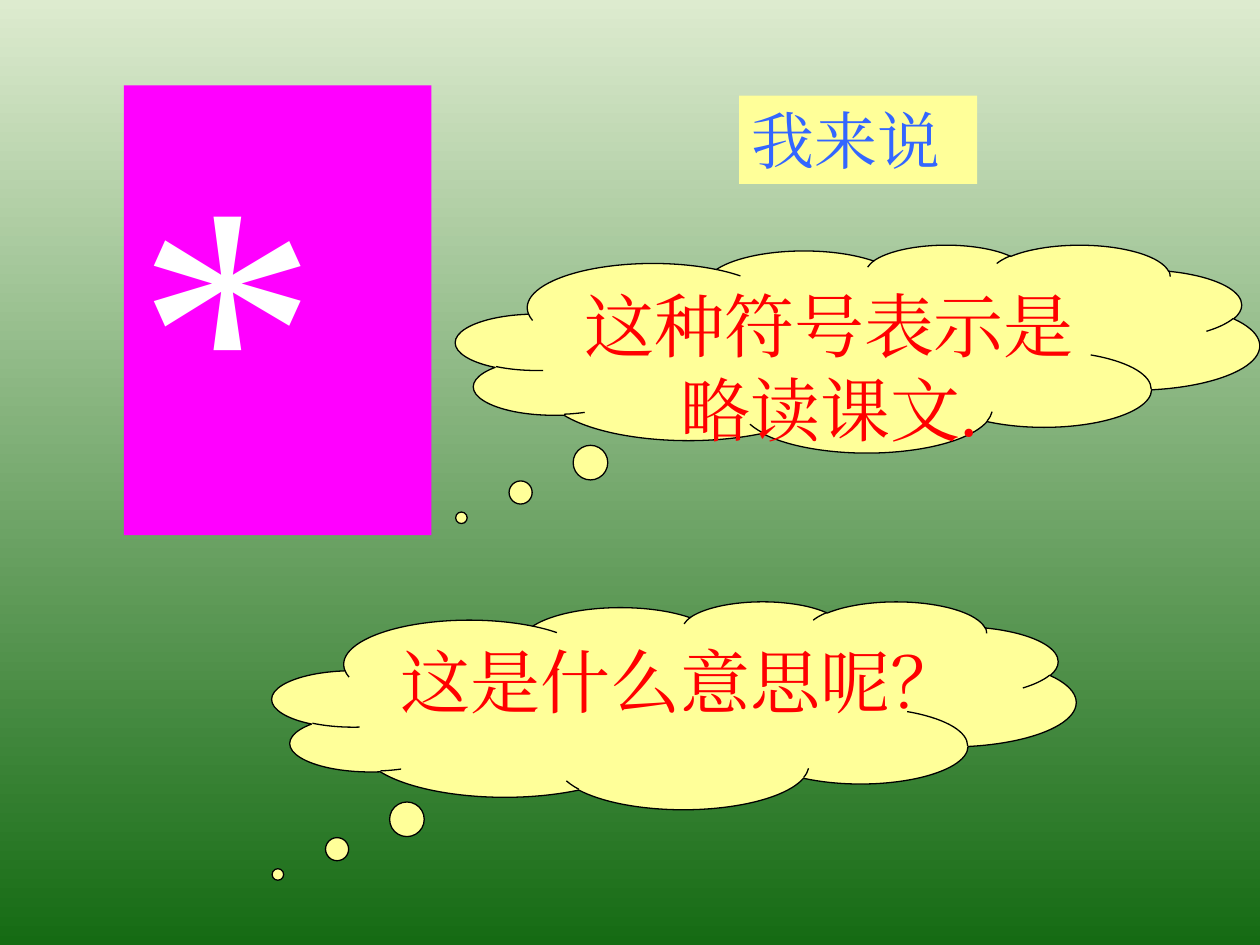
from lxml.etree import SubElement
from pptx import Presentation
from pptx.dml.color import RGBColor
from pptx.enum.shapes import MSO_SHAPE
from pptx.enum.text import MSO_ANCHOR, PP_ALIGN
from pptx.oxml.ns import qn
from pptx.util import Cm, Pt

FONT = "Times New Roman"
YELLOW = "FFFF99"


def color(hex_text):
    return RGBColor.from_string(hex_text)


def add_panel(page, kind, box, fill, text, size, ink, align=PP_ALIGN.LEFT):
    """Place a filled shape with one line of text in box (cm)."""
    panel = page.shapes.add_shape(kind, *(Cm(length) for length in box))
    panel.shadow.inherit = False
    panel.fill.solid()
    panel.fill.fore_color.rgb = color(fill)
    panel.line.fill.background()

    frame = panel.text_frame
    frame.word_wrap = True
    frame.vertical_anchor = MSO_ANCHOR.TOP
    para = frame.paragraphs[0]
    para.alignment = align
    span = para.add_run()
    span.text = text
    span.font.size = Pt(size)
    span.font.name = FONT
    span.font.color.rgb = color(ink)
    # East Asian characters use the same font name
    SubElement(span.font._element, qn("a:ea"), typeface=FONT)
    return panel


def add_thought(page, left, top, text):
    """Place a thought cloud whose bubbles trail to the lower left."""
    cloud = add_panel(page, MSO_SHAPE.CLOUD_CALLOUT, (left, top, 16.2, 4.19),
                      YELLOW, text, 40, "FF0000", PP_ALIGN.CENTER)
    cloud.adjustments[0] = -0.493
    cloud.adjustments[1] = 0.815
    cloud.line.color.rgb = color("000000")
    cloud.line.width = Pt(0.75)


def paint_background(page):
    """Fade from pale green at the top to dark green at the bottom."""
    fill = page.background.fill
    fill.gradient()
    fill.gradient_angle = 270
    for stop, shade, position in zip(fill.gradient_stops, ("DDEBCF", "156B13"), (0, 1)):
        stop.color.rgb = color(shade)
        stop.position = position


def main():
    deck = Presentation()
    deck.slide_width, deck.slide_height = Cm(25.4), Cm(19.05)
    page = deck.slides.add_slide(deck.slide_layouts[6])
    paint_background(page)

    # Question
    add_thought(page, 5.49, 12.12, "这是什么意思呢？")
    # Symbol card and heading
    add_panel(page, MSO_SHAPE.RECTANGLE, (2.5, 1.72, 6.2, 9.07),
              "FF00FF", "*", 208, "FFFFFF")
    add_panel(page, MSO_SHAPE.RECTANGLE, (14.9, 1.93, 4.8, 1.78),
              YELLOW, "我来说", 36, "3366FF")
    # Answer
    add_thought(page, 9.19, 4.93, "这种符号表示是略读课文.")

    deck.save("out.pptx")


if __name__ == "__main__":
    main()
